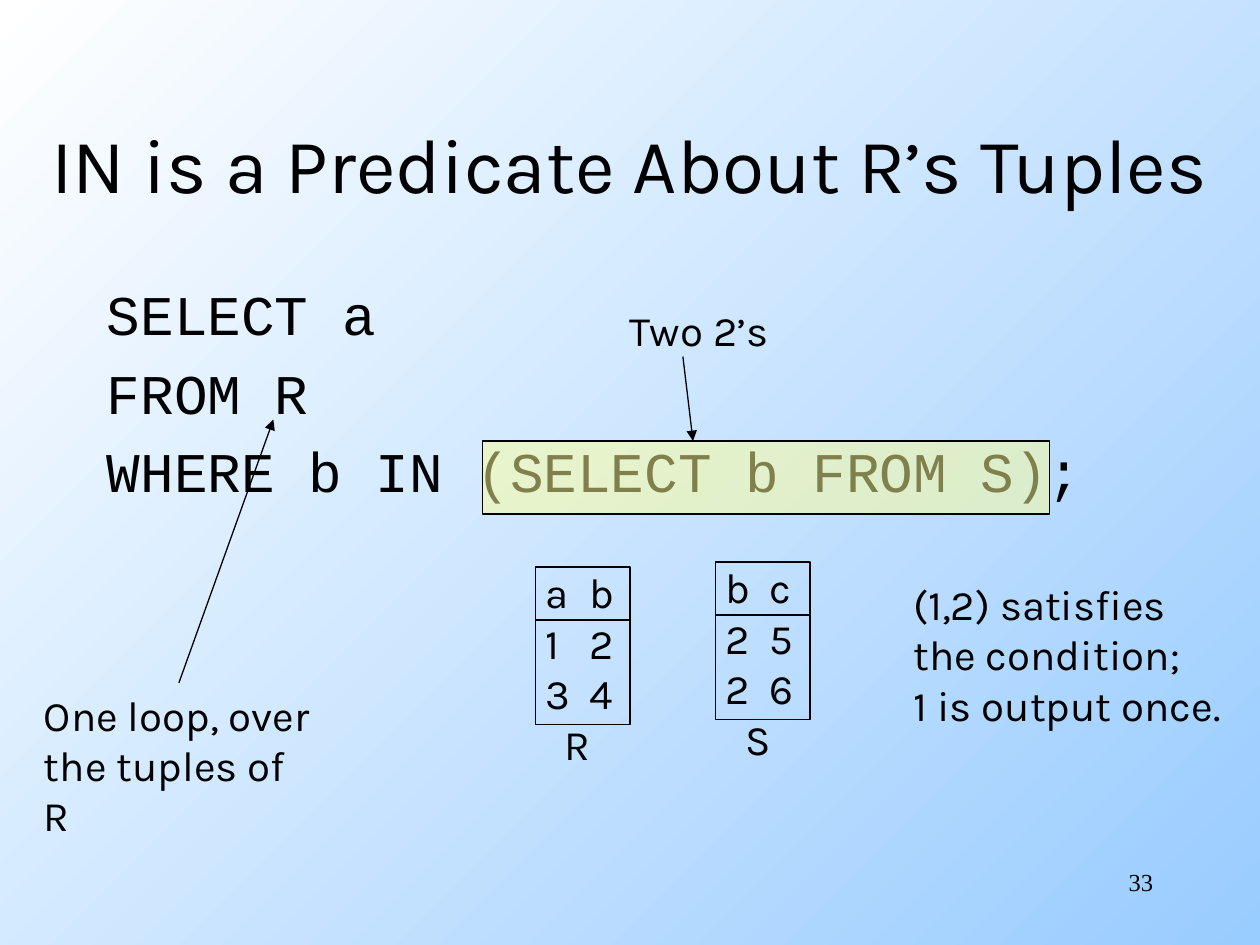
from dataclasses import dataclass

from lxml import etree
from pptx import Presentation
from pptx.dml.color import RGBColor
from pptx.enum.shapes import MSO_CONNECTOR, MSO_SHAPE
from pptx.enum.text import MSO_ANCHOR, MSO_AUTO_SIZE, PP_ALIGN
from pptx.oxml.ns import qn
from pptx.util import Inches, Pt

LEFT, MID, RIGHT = PP_ALIGN.LEFT, PP_ALIGN.CENTER, PP_ALIGN.RIGHT
CENTER = MSO_ANCHOR.MIDDLE
FIXED = MSO_AUTO_SIZE.NONE
LINE = MSO_CONNECTOR.STRAIGHT
RECT = MSO_SHAPE.RECTANGLE


@dataclass(frozen=True)
class Theme:
    ink: RGBColor = RGBColor(0, 0, 0)
    pale: RGBColor = RGBColor(0xFF, 0xFF, 0xFF)
    sky: RGBColor = RGBColor(0x99, 0xCC, 0xFF)
    mark: RGBColor = RGBColor(0xFF, 0xFF, 0x99)
    sans: str = "Karla"
    mono: str = "Courier New"
    serif: str = "Times New Roman"
    head: int = 44
    code: int = 32
    note: int = 24
    foot: int = 14
    rule: float = 0.75


T = Theme()


def place(shape, box):
    shape.left, shape.top, shape.width, shape.height = map(Inches, box)


def write(frame, lines, font, size, align=LEFT, before=0):
    frame.word_wrap = True
    frame.auto_size = FIXED
    for i, line in enumerate(lines):
        para = frame.paragraphs[0] if i == 0 else frame.add_paragraph()
        para.alignment = align
        para.space_before = Pt(before)
        run = para.add_run()
        run.text = line
        run.font.name = font
        run.font.size = Pt(size)
        run.font.color.rgb = T.ink


def text(slide, box, lines, font=T.sans, size=T.note, **style):
    shape = slide.shapes.add_textbox(*map(Inches, box))
    write(shape.text_frame, lines, font, size, **style)
    return shape


def frame(slide, box, fill=None, alpha=100):
    shape = slide.shapes.add_shape(RECT, *map(Inches, box))
    shape.shadow.inherit = False
    shape.line.color.rgb = T.ink
    shape.line.width = Pt(T.rule)
    if fill is None:
        shape.fill.background()
        return
    shape.fill.solid()
    shape.fill.fore_color.rgb = fill
    color = shape.fill._xPr.find(qn("a:solidFill"))[0]
    etree.SubElement(color, qn("a:alpha"), val=str(alpha * 1000))


def rule(slide, start, end, arrow=False):
    line = slide.shapes.add_connector(LINE, *map(Inches, start + end))
    line.line.color.rgb = T.ink
    line.line.width = Pt(T.rule)
    if arrow:
        etree.SubElement(line.line._get_or_add_ln(), qn("a:tailEnd"),
                         type="triangle")
    etree.SubElement(line._element.spPr, qn("a:effectLst"))


def backdrop(slide):
    fill = slide.background.fill
    fill.gradient()
    fill.gradient_angle = 315
    for stop, color, pos in zip(fill.gradient_stops, (T.pale, T.sky), (0, 1)):
        stop.color.rgb = color
        stop.position = pos


def heading(slide, box, words):
    title = slide.shapes.title
    place(title, box)
    title.text_frame.vertical_anchor = CENTER
    write(title.text_frame, [words], T.sans, T.head, MID)


def query(slide, box):
    lines = ["SELECT a", "FROM R", "WHERE b IN (SELECT b FROM S);"]
    text(slide, box, lines, T.mono, T.code, before=0.2 * T.code)


def loop(slide, box):
    x, y, w, h = box
    text(slide, box, ["One loop, over", "the tuples of R"])
    rule(slide, (x + 1.17, y), (x + 1.92, y - 2.09), arrow=True)


def relation(slide, box, rows, name):
    x, y, w, h = box
    grid = text(slide, (x - 0.02, y - 0.05, w + 0.04, h + 0.05),
                ["\t".join(row) for row in rows])
    # Second column starts at one tab stop
    for para in grid.text_frame.paragraphs:
        tabs = etree.SubElement(para._p.get_or_add_pPr(), qn("a:tabLst"))
        etree.SubElement(tabs, qn("a:tab"), pos=str(Inches(0.35)), algn="l")
    text(slide, (x - 0.04, y + 1.15, w, 0.5), [name], align=MID)
    frame(slide, box)
    rule(slide, (x, y + 0.42), (x + w, y + 0.42))


def inner(slide, box):
    x, y, w, h = box
    text(slide, (x + 1.07, y - 1.13, 1.4, 0.5), ["Two 2’s"])
    frame(slide, box, T.mark, 50)
    rule(slide, (x + 1.59, y - 0.67), (x + 1.67, y), arrow=True)


def build():
    deck = Presentation()
    deck.slide_width, deck.slide_height = Inches(10), Inches(7.5)
    slide = deck.slides.add_slide(deck.slide_layouts[5])
    backdrop(slide)

    # Title and query
    heading(slide, (0, 0.67, 10, 1.25), "IN is a Predicate About R’s Tuples")
    query(slide, (0.75, 2.17, 8.5, 4.5))

    # Outer loop and the two relations
    loop(slide, (0.25, 5.42, 2.35, 1.3))
    relation(slide, (4.25, 4.5, 0.75, 1.25), ["ab", "12", "34"], "R")
    relation(slide, (5.68, 4.46, 0.75, 1.25), ["bc", "25", "26"], "S")

    # Result and subquery
    text(slide, (7.15, 4.54, 2.75, 1.3),
         ["(1,2) satisfies", "the condition;", "1 is output once."])
    inner(slide, (3.83, 3.5, 4.5, 0.58))

    # Page number
    text(slide, (7.17, 6.83, 2.08, 0.5), ["33"], T.serif, T.foot, align=RIGHT)
    deck.save("out.pptx")


build()
